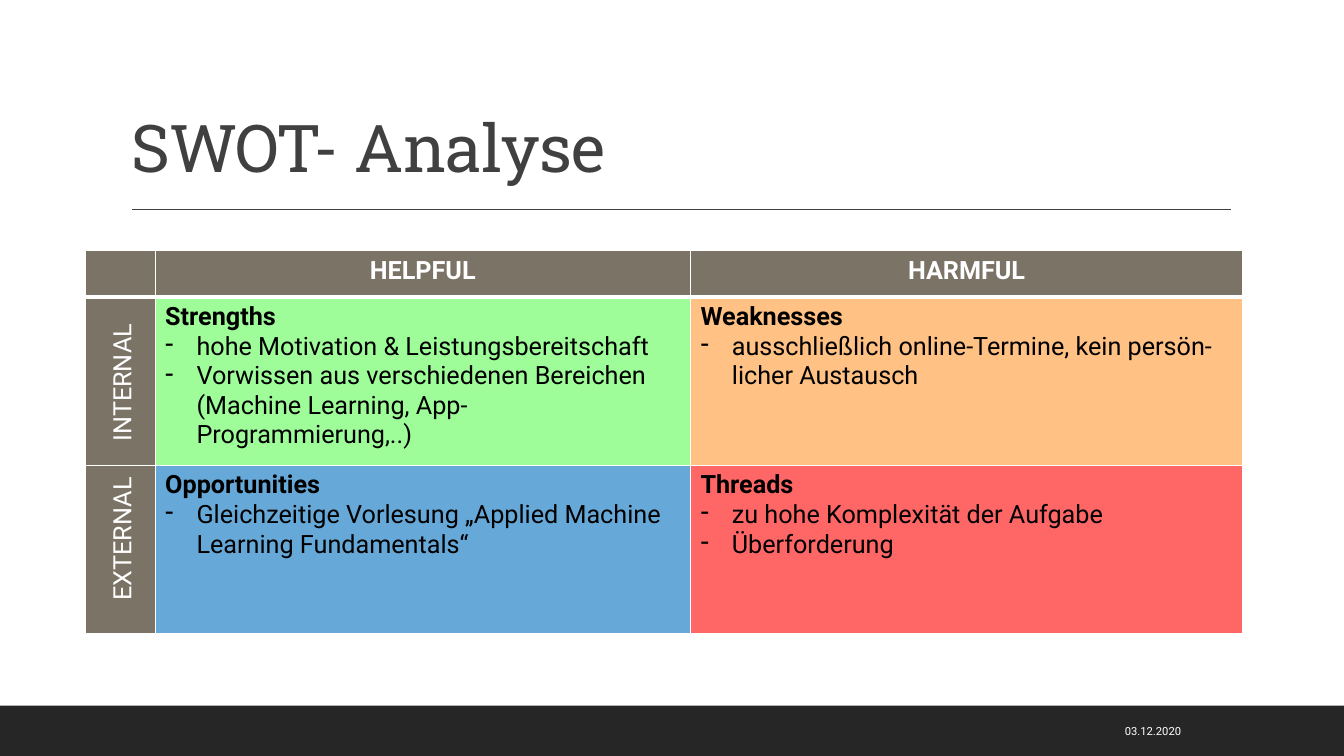
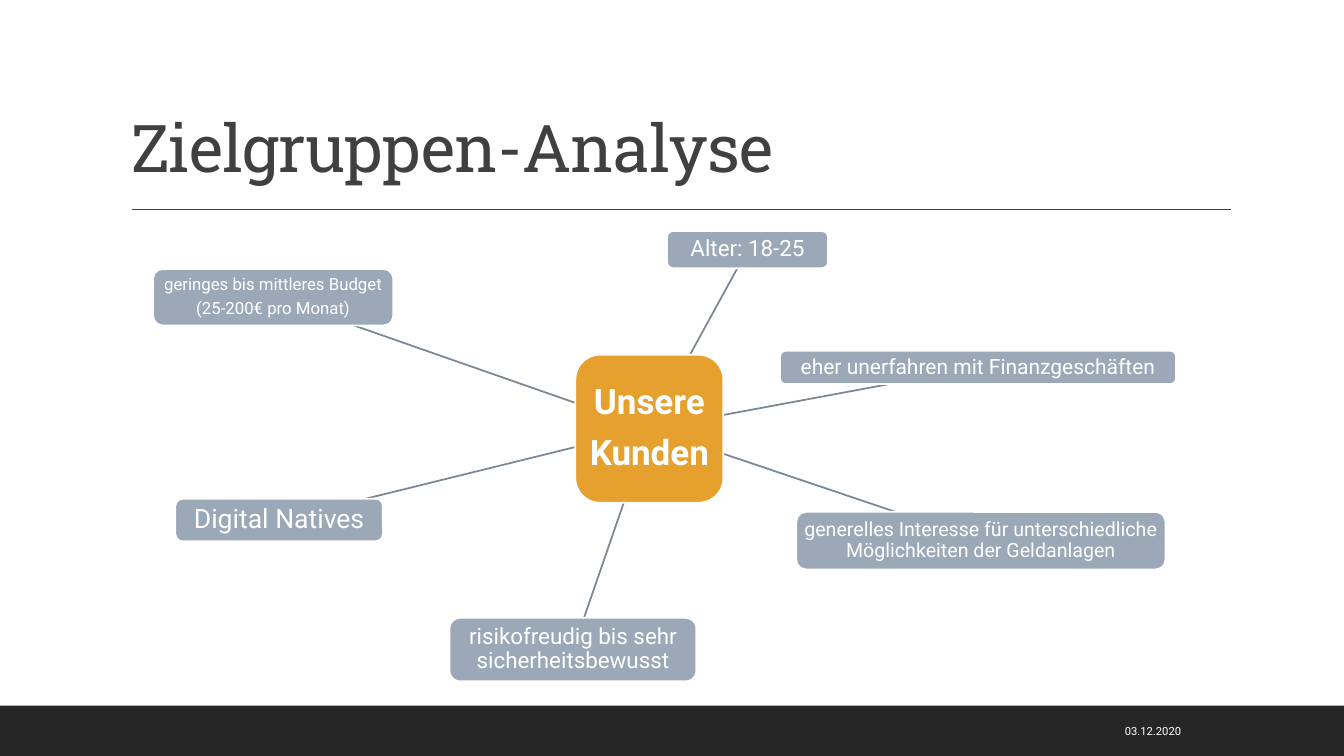
from lxml.etree import SubElement
from pptx import Presentation
from pptx.dml.color import RGBColor
from pptx.enum.shapes import MSO_CONNECTOR, MSO_SHAPE
from pptx.enum.text import MSO_ANCHOR, PP_ALIGN
from pptx.oxml.ns import qn
from pptx.util import Cm, Pt

WHITE = RGBColor(0xFF, 0xFF, 0xFF)
BLACK = RGBColor(0x00, 0x00, 0x00)
BAND = RGBColor(0x26, 0x26, 0x26)
DARK = RGBColor(0x40, 0x40, 0x40)
TAUPE = RGBColor(0x7B, 0x73, 0x66)
GREEN = RGBColor(0x5E, 0xFC, 0x56)
ORANGE = RGBColor(0xFF, 0x99, 0x33)
BLUE = RGBColor(0x00, 0x70, 0xC0)
RED = RGBColor(0xFF, 0x00, 0x00)
AMBER = RGBColor(0xE6, 0xA0, 0x2E)
STEEL = RGBColor(0x9B, 0xA8, 0xB7)
SPOKE = RGBColor(0x7C, 0x87, 0x93)

BODY_FONT = "Roboto"
TITLE_FONT = "Roboto Slab"
WIDTH, HEIGHT = 33.87, 19.05
BAND_TOP = 17.78
TITLE_BOX = (3.05, 0.79, 27.94, 4.04)
RULE = (3.33, 5.28, 31.01, 5.28)
DATE = "03.12.2020"
DATE_BOX = (22.83, 17.91, 7.19, 1.02)

SWOT_TITLE = "SWOT- Analyse"
SWOT_AT = (2.16, 6.32)
SWOT_COLS = (1.75, 13.49, 13.92)
SWOT_ROWS = (1.17, 4.24, 4.24)
SWOT_HEADS = ("HELPFUL", "HARMFUL")
SWOT_CELLS = [
    [
        ("Strengths", GREEN, [
            "hohe Motivation & Leistungsbereitschaft",
            "Vorwissen aus verschiedenen Bereichen (Machine Learning, App-Programmierung,..)",
        ]),
        ("Weaknesses", ORANGE, [
            "ausschließlich online-Termine, kein persön-licher Austausch",
        ]),
    ],
    [
        ("Opportunities", BLUE, [
            "Gleichzeitige Vorlesung „Applied Machine Learning Fundamentals“",
        ]),
        ("Threads", RED, ["zu hohe Komplexität der Aufgabe", "Überforderung"]),
    ],
]
SIDE_LABELS = [
    ("INTERNAL", (1.22, 9.02, 3.68, 1.02)),
    ("EXTERNAL", (1.22, 13.03, 3.68, 1.02)),
]

TARGET_TITLE = "Zielgruppen-Analyse"
HUB = (["Unsere", "Kunden"], 25, (14.5, 8.94, 3.73, 3.73))
TRAITS = [
    (["Alter: 18-25"], 16, (16.81, 5.82, 4.06, 0.94)),
    (["eher unerfahren mit Finanzgeschäften"], 15, (19.66, 8.84, 9.98, 0.84)),
    (["generelles Interesse für unterschiedliche Möglichkeiten der Geldanlagen"],
     14, (20.07, 12.9, 9.3, 1.45)),
    (["risikofreudig bis sehr sicherheitsbewusst"], 16, (11.33, 15.57, 6.22, 1.6)),
    (["Digital Natives"], 19, (4.42, 12.57, 5.23, 1.07)),
    (["geringes bis mittleres Budget", "(25-200€ pro Monat)"],
     12, (3.86, 6.78, 6.05, 1.42)),
]


def cm(values):
    return [Cm(v) for v in values]


def write(tf, lines, size=18, color=WHITE, bold=False, font=BODY_FONT,
          align=PP_ALIGN.LEFT, spacing=None, after=None, tracking=None, bullet=None):
    for line in lines:
        p = tf.add_paragraph() if tf.text else tf.paragraphs[0]
        p.alignment = align
        if spacing:
            p.line_spacing = spacing
        if after is not None:
            p.space_after = Pt(after)
        if bullet:
            pPr = p._p.get_or_add_pPr()
            pPr.set("marL", str(Cm(0.79)))
            pPr.set("indent", str(-Cm(0.79)))
            SubElement(pPr, qn("a:buChar")).set("char", bullet)
        r = p.add_run()
        r.text = line
        r.font.name = font
        r.font.size = Pt(size)
        r.font.bold = bold
        r.font.color.rgb = color
        if tracking:
            r._r.get_or_add_rPr().set("spc", str(tracking))


def add_box(s, shape, box, fill, line=None):
    sp = s.shapes.add_shape(shape, *cm(box))
    sp.shadow.inherit = False
    sp.fill.solid()
    sp.fill.fore_color.rgb = fill
    if line is None:
        sp.line.fill.background()
    else:
        sp.line.color.rgb = line
        sp.line.width = Pt(1.25)
    return sp


def add_line(s, ends, color, width):
    line = s.shapes.add_connector(MSO_CONNECTOR.STRAIGHT, *cm(ends))
    line.line.color.rgb = color
    line.line.width = Pt(width)
    SubElement(line._element.spPr, qn("a:effectLst"))
    return line


def add_label(s, box, text, **fmt):
    sp = s.shapes.add_textbox(*cm(box))
    sp.text_frame.word_wrap = True
    write(sp.text_frame, [text], **fmt)
    return sp


def prepare_layout(layout, s):
    title = layout.placeholders[0]
    title.left, title.top, title.width, title.height = cm(TITLE_BOX)
    band = add_box(s, MSO_SHAPE.RECTANGLE, (0, BAND_TOP, WIDTH, HEIGHT - BAND_TOP), BAND)
    for part in (band, add_line(s, RULE, DARK, 1)):
        layout.shapes.element.append(part.element)


def add_frame(s, title):
    tf = s.shapes.title.text_frame
    tf.word_wrap = True
    tf.vertical_anchor = MSO_ANCHOR.BOTTOM
    write(tf, [title], size=47, color=DARK, font=TITLE_FONT, spacing=0.9, tracking=-50)
    date = add_label(s, DATE_BOX, DATE, size=8, align=PP_ALIGN.RIGHT)
    date.text_frame.vertical_anchor = MSO_ANCHOR.MIDDLE


def style_cell(cell, color, alpha=None, bottom=1):
    tcPr = cell._tc.get_or_add_tcPr()
    for side, width in (("L", 1), ("R", 1), ("T", 1), ("B", bottom)):
        ln = SubElement(tcPr, qn("a:ln" + side), w=str(Pt(width)))
        fill = SubElement(ln, qn("a:solidFill"))
        SubElement(fill, qn("a:srgbClr"), val=str(WHITE))
    cell.fill.solid()
    cell.fill.fore_color.rgb = color
    if alpha:
        clr = tcPr.find(qn("a:solidFill"))[0]
        SubElement(clr, qn("a:alpha"), val=str(alpha * 1000))


def add_swot(s):
    size = (sum(SWOT_COLS), sum(SWOT_ROWS))
    table = s.shapes.add_table(len(SWOT_ROWS), len(SWOT_COLS), *cm(SWOT_AT + size)).table
    for col, width in zip(table.columns, SWOT_COLS):
        col.width = Cm(width)
    for row, height in zip(table.rows, SWOT_ROWS):
        row.height = Cm(height)
    for i, head in enumerate(("",) + SWOT_HEADS):
        cell = table.cell(0, i)
        style_cell(cell, TAUPE, bottom=3)
        if head:
            write(cell.text_frame, [head], bold=True, align=PP_ALIGN.CENTER)
    for i, row in enumerate(SWOT_CELLS, 1):
        style_cell(table.cell(i, 0), TAUPE)
        for j, (head, color, points) in enumerate(row, 1):
            cell = table.cell(i, j)
            style_cell(cell, color, alpha=60)
            write(cell.text_frame, [head], color=BLACK, bold=True)
            write(cell.text_frame, points, color=BLACK, bullet="-")
    for text, box in SIDE_LABELS:
        add_label(s, box, text).rotation = 270


def add_node(s, node, fill, margin, bold=False):
    lines, size, box = node
    sp = add_box(s, MSO_SHAPE.ROUNDED_RECTANGLE, box, fill, WHITE)
    tf = sp.text_frame
    tf.word_wrap = True
    tf.vertical_anchor = MSO_ANCHOR.MIDDLE
    tf.margin_left = tf.margin_right = tf.margin_top = tf.margin_bottom = Cm(margin)
    write(tf, lines, size=size, bold=bold, align=PP_ALIGN.CENTER,
          spacing=0.9, after=round(0.37 * size, 1))


def center(box):
    left, top, width, height = box
    return left + width / 2, top + height / 2


def edge_point(box, other):
    (x, y), (ox, oy) = center(box), center(other)
    dx, dy = ox - x, oy - y
    t = 1 / max(abs(dx) / (box[2] / 2), abs(dy) / (box[3] / 2))
    return x + t * dx, y + t * dy


def add_mind_map(s):
    hub_box = HUB[2]
    for trait in TRAITS:
        box = trait[2]
        add_line(s, edge_point(hub_box, box) + edge_point(box, hub_box), SPOKE, 1.25)
        add_node(s, trait, STEEL, 0.1)
    add_node(s, HUB, AMBER, 0.18, bold=True)


def main():
    prs = Presentation()
    prs.slide_width, prs.slide_height = Cm(WIDTH), Cm(HEIGHT)
    layout = prs.slide_layouts[5]
    pages = ((SWOT_TITLE, add_swot), (TARGET_TITLE, add_mind_map))
    for i, (title, add_content) in enumerate(pages):
        s = prs.slides.add_slide(layout)
        if i == 0:
            prepare_layout(layout, s)
        add_frame(s, title)
        add_content(s)
    prs.save("out.pptx")


if __name__ == "__main__":
    main()
